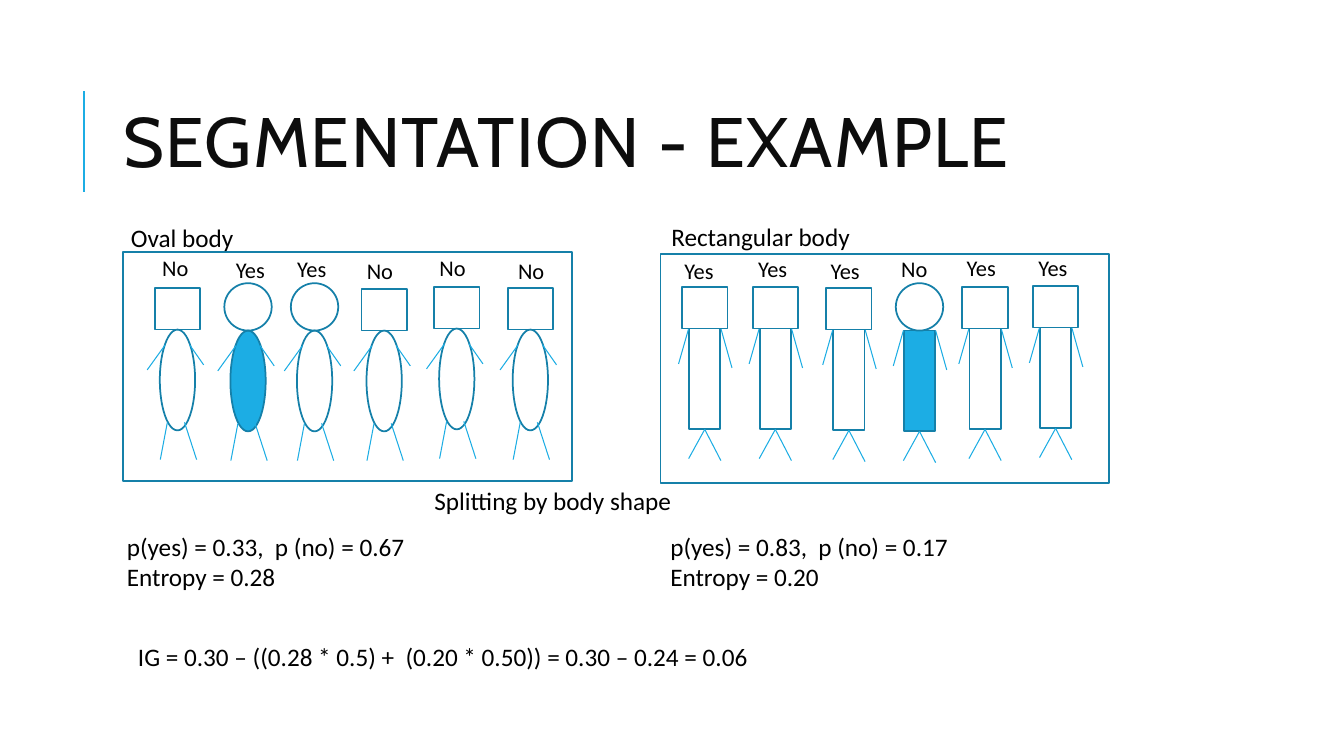
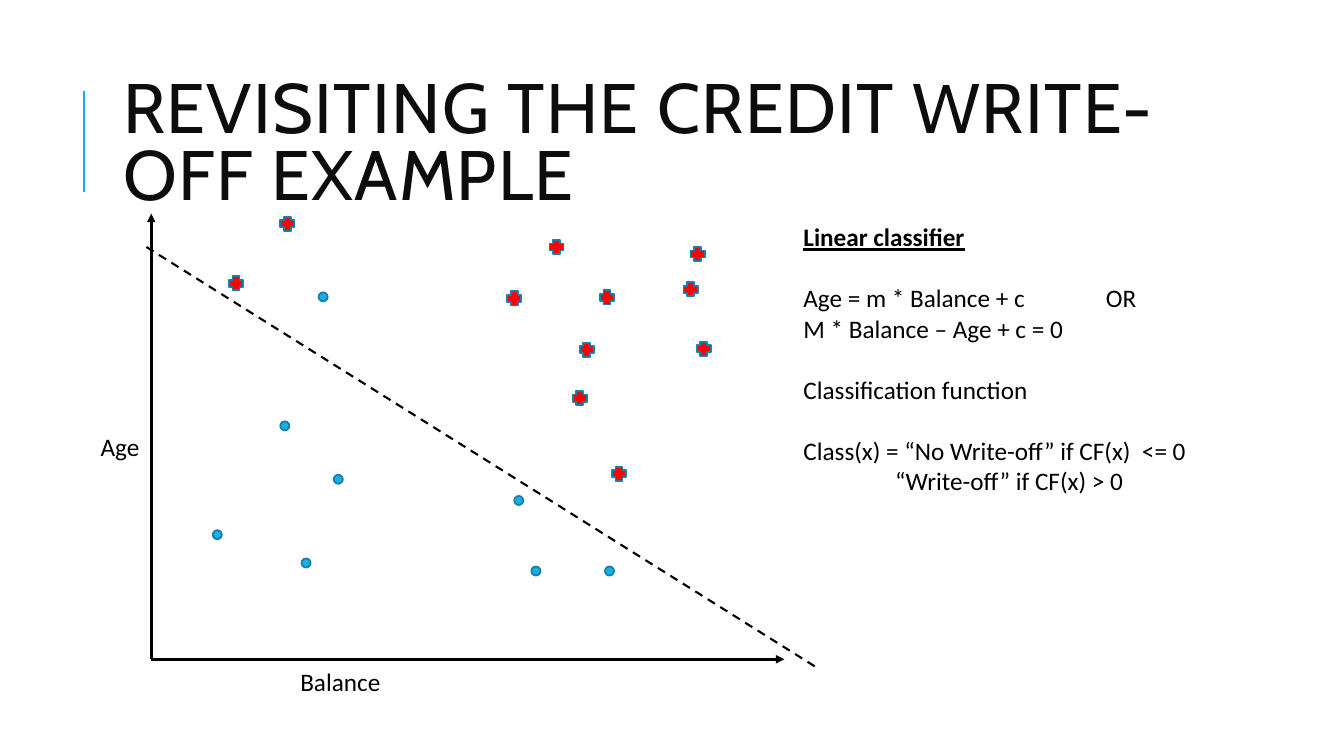
"""Build two slides: splitting a population by body shape, and a linear write-off classifier."""
from dataclasses import dataclass

from lxml.etree import SubElement
from pptx import Presentation
from pptx.dml.color import RGBColor
from pptx.enum.dml import MSO_LINE as Dash
from pptx.enum.shapes import MSO_CONNECTOR as Connector, MSO_SHAPE as Preset
from pptx.enum.text import MSO_ANCHOR as Anchor, MSO_AUTO_SIZE as AutoSize, PP_ALIGN as Align
from pptx.oxml.ns import qn
from pptx.shapes.shapetree import GroupShapes
from pptx.slide import Slide
from pptx.util import Inches, Pt

Point = tuple[float, float]
Rect = tuple[float, float, float, float]


@dataclass(frozen=True)
class Theme:
    accent: RGBColor = RGBColor(0x1C, 0xAD, 0xE4)
    outline: RGBColor = RGBColor(0x15, 0x80, 0xA9)
    positive: RGBColor = RGBColor(0xFF, 0x00, 0x00)
    ink: RGBColor = RGBColor(0x00, 0x00, 0x00)
    title_ink: RGBColor = RGBColor(0x0D, 0x0D, 0x0D)
    title_font: str = "Cabin"
    body_font: str = "Calibri"
    title_size: float = 50
    body_size: float = 18
    label_size: float = 16
    outline_width: float = 1.25
    limb_width: float = 0.75
    rule_width: float = 1.5
    axis_width: float = 2
    blank_line: float = 22


@dataclass(frozen=True)
class Para:
    text: str
    before: float = 0
    indent: float = 0
    heading: bool = False
    tabs: tuple[float, ...] = ()


@dataclass(frozen=True)
class Build:
    body: Preset
    width: float
    limbs: tuple[tuple[Point, Point], ...]


@dataclass(frozen=True)
class Figure:
    center: float
    top: float
    label: str
    label_at: Point
    round_head: bool = False
    filled: bool = False


@dataclass(frozen=True)
class Group:
    heading: str
    heading_at: Point
    frame_at: Point
    summary_at: Point
    summary: tuple[str, str]
    build: Build
    figures: tuple[Figure, ...]


@dataclass(frozen=True)
class Marker:
    preset: Preset
    size: float
    color: RGBColor
    places: tuple[Point, ...]


THEME = Theme()
BODY_HEIGHT = 1.0
FRAME_SIZE = (4.45, 2.27)
AXIS_ORIGIN = (1.5, 6.54)
AXIS_ENDS = ((1.5, 2.12), (7.78, 6.54))

OVAL = Build(Preset.OVAL, 0.35, (
    ((-0.12, 0.15), (-0.3, 0.4)), ((0.12, 0.15), (0.26, 0.35)),
    ((-0.1, 0.92), (-0.17, 1.29)), ((0.07, 0.92), (0.19, 1.29)),
))
RECTANGULAR = Build(Preset.RECTANGLE, 0.31, (
    ((-0.16, 0), (-0.26, 0.35)), ((0.16, 0), (0.27, 0.39)),
    ((0, 1), (-0.16, 1.29)), ((0, 1), (0.16, 1.31)),
))

GROUPS = (
    Group("Oval body", (1.2, 2.16), (1.22, 2.5), (1.16, 5.22),
          ("p(yes) = 0.33,  p (no) = 0.67", "Entropy = 0.28"), OVAL, (
              Figure(1.76, 3.27, "No", (1.51, 2.47)),
              Figure(2.46, 3.28, "Yes", (2.24, 2.49), round_head=True, filled=True),
              Figure(3.12, 3.28, "Yes", (2.85, 2.48), round_head=True),
              Figure(3.81, 3.28, "No", (3.54, 2.5)),
              Figure(4.53, 3.26, "No", (4.26, 2.47)),
              Figure(5.26, 3.27, "No", (5.04, 2.5)),
          )),
    Group("Rectangular body", (6.56, 2.15), (6.55, 2.52), (6.55, 5.22),
          ("p(yes) = 0.83,  p (no) = 0.17", "Entropy = 0.20"), RECTANGULAR, (
              Figure(6.99, 3.26, "Yes", (6.69, 2.5)),
              Figure(7.69, 3.26, "Yes", (7.42, 2.48)),
              Figure(8.42, 3.27, "Yes", (8.14, 2.5)),
              Figure(9.12, 3.28, "No", (8.84, 2.48), round_head=True, filled=True),
              Figure(9.77, 3.26, "Yes", (9.49, 2.47)),
              Figure(10.47, 3.25, "Yes", (10.2, 2.47)),
          )),
)

MARKERS = (
    Marker(Preset.OVAL, 0.09, THEME.accent, (
        (2.11, 5.26), (2.78, 4.18), (3.16, 2.9), (2.99, 5.54),
        (3.31, 4.71), (5.27, 5.62), (5.1, 4.92), (6, 5.62),
    )),
    Marker(Preset.CROSS, 0.14, THEME.positive, (
        (5.45, 2.38), (6.85, 2.45), (2.27, 2.74), (5.95, 2.88), (2.78, 2.15), (5.75, 3.4),
        (6.78, 2.8), (5.68, 3.88), (6.07, 4.63), (5.03, 2.89), (6.91, 3.39),
    )),
)

CLASSIFIER = (
    Para("Linear classifier", heading=True),
    Para("Age = m * Balance + c\t\tOR", before=THEME.blank_line, tabs=(2.5, 3)),
    Para("M * Balance – Age + c = 0"),
    Para("Classification function", before=THEME.blank_line),
    Para("Class(x) = “No Write-off” if CF(x)  <= 0", before=THEME.blank_line),
    Para("“Write-off” if CF(x) > 0", indent=0.91),
)


def add_line(shapes: GroupShapes, start: Point, end: Point, color: RGBColor, width: float,
             dashed: bool = False, arrow: bool = False) -> None:
    """Draw a straight line, optionally dashed or ending in an arrowhead."""
    line = shapes.add_connector(Connector.STRAIGHT, *map(Inches, start + end))
    line.line.color.rgb = color
    line.line.width = Pt(width)
    if dashed:
        line.line.dash_style = Dash.DASH
    properties = line._element.spPr
    if arrow:
        SubElement(properties.find(qn("a:ln")), qn("a:tailEnd"), type="triangle")
    SubElement(properties, qn("a:effectLst"))


def add_outlined(shapes: GroupShapes, preset: Preset, rect: Rect, fill: RGBColor | None = None) -> None:
    """Draw a preset shape with the common outline and an optional fill."""
    shape = shapes.add_shape(preset, *map(Inches, rect))
    shape.shadow.inherit = False
    shape.line.color.rgb = THEME.outline
    shape.line.width = Pt(THEME.outline_width)
    if fill is None:
        shape.fill.background()
    else:
        shape.fill.solid()
        shape.fill.fore_color.rgb = fill


def add_text(shapes: GroupShapes, rect: Rect, paras: tuple[Para, ...],
             size: float = THEME.body_size) -> None:
    """Write paragraphs of body text in a wrapping box."""
    frame = shapes.add_textbox(*map(Inches, rect)).text_frame
    frame.word_wrap = True
    frame.margin_right = Inches(0)
    frame.text = "\n".join(para.text for para in paras)
    for paragraph, para in zip(frame.paragraphs, paras):
        paragraph.space_before = Pt(para.before)
        properties = paragraph._p.get_or_add_pPr()
        if para.indent:
            properties.set("marL", str(Inches(para.indent)))
        if para.tabs:
            stops = SubElement(properties, qn("a:tabLst"))
            for stop in para.tabs:
                SubElement(stops, qn("a:tab"), pos=str(Inches(stop)), algn="l")
        for span in paragraph.runs:
            span.font.name = THEME.body_font
            span.font.size = Pt(size)
            span.font.color.rgb = THEME.ink
            span.font.bold = span.font.underline = para.heading


def add_page(deck: Presentation, title: str) -> Slide:
    """Add a slide with the shared title style and accent rule."""
    page = deck.slides.add_slide(deck.slide_layouts[5])
    add_line(page.shapes, (0.83, 1.9), (0.83, 0.9), THEME.accent, THEME.rule_width)
    box = page.shapes.title
    box.left, box.top, box.width, box.height = map(Inches, (1.12, 0.64, 10.63, 1.64))
    frame = box.text_frame
    frame.text = title
    frame.auto_size = AutoSize.NONE
    frame.vertical_anchor = Anchor.MIDDLE
    paragraph = frame.paragraphs[0]
    paragraph.alignment = Align.LEFT
    paragraph.line_spacing = 0.8
    span = paragraph.runs[0]
    span.font.name = THEME.title_font
    span.font.size = Pt(THEME.title_size)
    span.font.color.rgb = THEME.title_ink
    span._r.get_or_add_rPr().set("spc", "100")
    return page


def add_figure(page: Slide, figure: Figure, build: Build) -> None:
    """Draw one labelled person as a group of head, body and limbs."""
    shapes = page.shapes.add_group_shape().shapes
    x, y = figure.center, figure.top
    add_outlined(shapes, build.body, (x - build.width / 2, y, build.width, BODY_HEIGHT),
                 THEME.accent if figure.filled else None)
    for start, end in build.limbs:
        add_line(shapes, (x + start[0], y + start[1]), (x + end[0], y + end[1]),
                 THEME.accent, THEME.limb_width)
    preset, width, height = (Preset.OVAL, 0.47, 0.47) if figure.round_head else (Preset.RECTANGLE, 0.45, 0.41)
    add_outlined(shapes, preset, (x - width / 2, y - height, width, height))
    add_text(shapes, (*figure.label_at, 0.5, 0.37), (Para(figure.label),), THEME.label_size)


def build_segmentation(deck: Presentation) -> None:
    """Show both body-shape groups with their entropy and the information gain."""
    page = add_page(deck, "SEGMENTATION - EXAMPLE")
    for group in GROUPS:
        for figure in group.figures:
            add_figure(page, figure, group.build)
        add_outlined(page.shapes, Preset.RECTANGLE, group.frame_at + FRAME_SIZE)
        add_text(page.shapes, (*group.heading_at, 2.61, 0.4), (Para(group.heading),))
        add_text(page.shapes, (*group.summary_at, 3.26, 0.71), tuple(map(Para, group.summary)))
    add_text(page.shapes, (4.21, 4.77, 5.02, 0.4), (Para("Splitting by body shape"),))
    add_text(page.shapes, (1.27, 6.31, 10.85, 0.4),
             (Para("IG = 0.30 – ((0.28 * 0.5) +  (0.20 * 0.50)) = 0.30 – 0.24 = 0.06"),))


def build_classifier(deck: Presentation) -> None:
    """Show the age and balance scatter, its dividing line and the classifier."""
    page = add_page(deck, "REVISITING THE CREDIT WRITE-OFF EXAMPLE")
    scatter = page.shapes.add_group_shape().shapes
    for axis_end in AXIS_ENDS:
        add_line(scatter, AXIS_ORIGIN, axis_end, THEME.ink, THEME.axis_width, arrow=True)
    for marker in MARKERS:
        for place in marker.places:
            add_outlined(scatter, marker.preset, (*place, marker.size, marker.size), marker.color)
    add_text(page.shapes, (2.88, 6.56, 3.48, 0.4), (Para("Balance"),))
    add_text(page.shapes, (0.9, 4.23, 0.78, 0.4), (Para("Age"),))
    add_line(page.shapes, (8.08, 6.61), (1.42, 2.43), THEME.ink, THEME.rule_width, dashed=True)
    add_text(page.shapes, (7.87, 2.15, 4.9, 2.83), CLASSIFIER)


def main() -> None:
    """Build and save the deck."""
    deck = Presentation()
    deck.slide_width, deck.slide_height = Inches(13.33), Inches(7.5)
    build_segmentation(deck)
    build_classifier(deck)
    deck.save("out.pptx")


if __name__ == "__main__":
    main()
